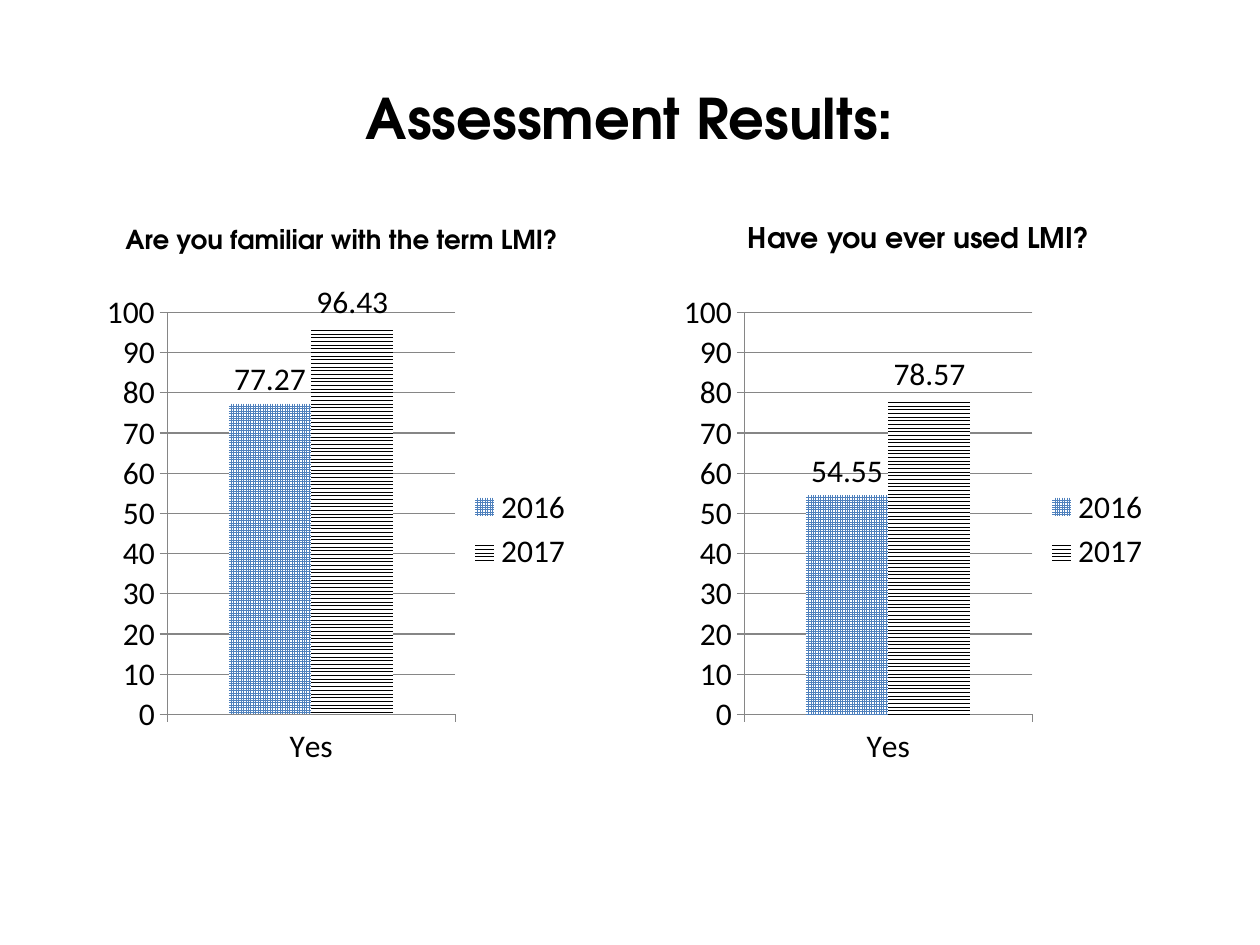
from dataclasses import dataclass

from pptx import Presentation, util as u
from pptx.chart import data as cd
from pptx.dml.color import RGBColor
from pptx.enum import chart as ec, dml, text

COLORS = {"ink": "000000", "blue": "4F81BD", "paper": "FFFFFF", "grid": "868686"}
HEAD_FONT, CHART_FONT = "TeX Gyre Adventor", "Calibri"
WIDTH, HEIGHT = u.Inches(10), u.Inches(7.5)

# Two columns between equal margins, as shares of the slide width
MARGIN, COLUMN, CHART_WIDTH = 0.05, 0.442, 0.388
# Rows, as shares of the slide height
TITLE_TOP, HEAD_TOP, CHART_TOP, CHART_HEIGHT = 0.04, 0.207, 0.3, 0.52


@dataclass
class Question:
    wording: str
    size: float
    results: dict[str, float]


@dataclass
class Pattern:
    kind: dml.MSO_PATTERN
    color: str


QUESTIONS = [
    Question("Are you familiar with the term LMI?", 14.9, {"2016": 77.27, "2017": 96.43}),
    Question("Have you ever used LMI?", 16.2, {"2016": 54.55, "2017": 78.57}),
]
PATTERNS = [
    Pattern(dml.MSO_PATTERN.SMALL_GRID, "blue"),
    Pattern(dml.MSO_PATTERN.ZIG_ZAG, "ink"),
]


def rgb(name: str) -> RGBColor:
    return RGBColor.from_string(COLORS[name])


def area(left: float, top: float, width: float, height: float) -> tuple[int, ...]:
    """Turn shares of the slide into lengths."""
    return int(left * WIDTH), int(top * HEIGHT), int(width * WIDTH), int(height * HEIGHT)


def set_heading(sp, wording: str, size: float, anchor) -> None:
    tf = sp.text_frame
    tf.text = wording
    tf.word_wrap = True
    tf.auto_size = text.MSO_AUTO_SIZE.NONE
    tf.vertical_anchor = anchor
    tf.margin_left = tf.margin_right = u.Inches(0.2)
    tf.margin_top = tf.margin_bottom = u.Inches(0.23)
    p = tf.paragraphs[0]
    p.alignment = text.PP_ALIGN.CENTER
    p.space_before = u.Pt(0)
    font = p.runs[0].font
    font.name, font.size, font.bold = HEAD_FONT, u.Pt(size), True
    font.color.rgb = rgb("ink")


def add_result_chart(s, results: dict[str, float], box: tuple[int, ...]) -> None:
    data = cd.CategoryChartData()
    data.categories = ["Yes"]
    for year, value in results.items():
        data.add_series(year, [value])
    chart = s.shapes.add_chart(ec.XL_CHART_TYPE.COLUMN_CLUSTERED, *box, data).chart
    chart.has_title = False
    chart.font.name, chart.font.size = CHART_FONT, u.Pt(18)
    chart.font.color.rgb = rgb("ink")
    chart.has_legend = True
    chart.legend.position = ec.XL_LEGEND_POSITION.RIGHT
    chart.legend.include_in_layout = False

    # Axes and gridlines
    values = chart.value_axis
    values.minimum_scale, values.maximum_scale, values.major_unit = 0, 100, 10
    values.has_major_gridlines = True
    for part in (values, chart.category_axis, values.major_gridlines):
        part.format.line.color.rgb = rgb("grid")
        part.format.line.width = u.Pt(0.75)
    for axis in (values, chart.category_axis):
        axis.major_tick_mark = ec.XL_TICK_MARK.OUTSIDE

    # Patterned columns with their values
    plot = chart.plots[0]
    plot.gap_width, plot.overlap, plot.vary_by_categories = 150, 0, False
    for series, pattern in zip(plot.series, PATTERNS):
        fill = series.format.fill
        fill.patterned()
        fill.pattern = pattern.kind
        fill.fore_color.rgb = rgb(pattern.color)
        fill.back_color.rgb = rgb("paper")
        labels = series.data_labels
        labels.show_value = True
        labels.position = ec.XL_LABEL_POSITION.OUTSIDE_END


def main() -> None:
    prs = Presentation()
    prs.slide_width, prs.slide_height = WIDTH, HEIGHT
    s = prs.slides.add_slide(prs.slide_layouts[5])

    # Title
    title = s.shapes.title
    title.left, title.top, title.width, title.height = area(
        MARGIN, TITLE_TOP, 1 - 2 * MARGIN, HEAD_TOP - TITLE_TOP)
    set_heading(title, "Assessment Results:", 32, text.MSO_ANCHOR.MIDDLE)

    # One column for each question
    step = 1 - 2 * MARGIN - COLUMN
    for i, question in enumerate(QUESTIONS):
        left = MARGIN + i * step
        sp = s.shapes.add_textbox(*area(left, HEAD_TOP, COLUMN, CHART_TOP - HEAD_TOP))
        set_heading(sp, question.wording, question.size, text.MSO_ANCHOR.BOTTOM)
        inset = (COLUMN - CHART_WIDTH) / 2
        add_result_chart(s, question.results,
                         area(left + inset, CHART_TOP, CHART_WIDTH, CHART_HEIGHT))

    prs.save("out.pptx")


if __name__ == "__main__":
    main()
